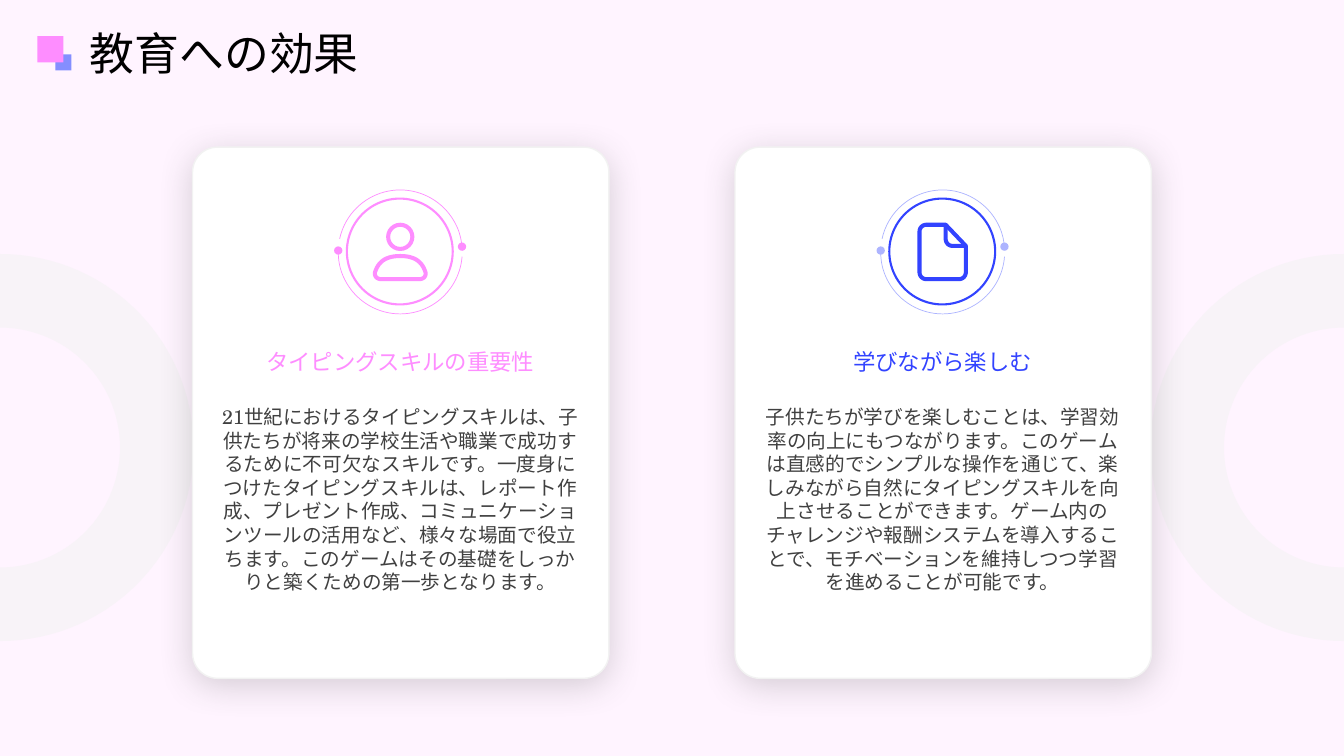
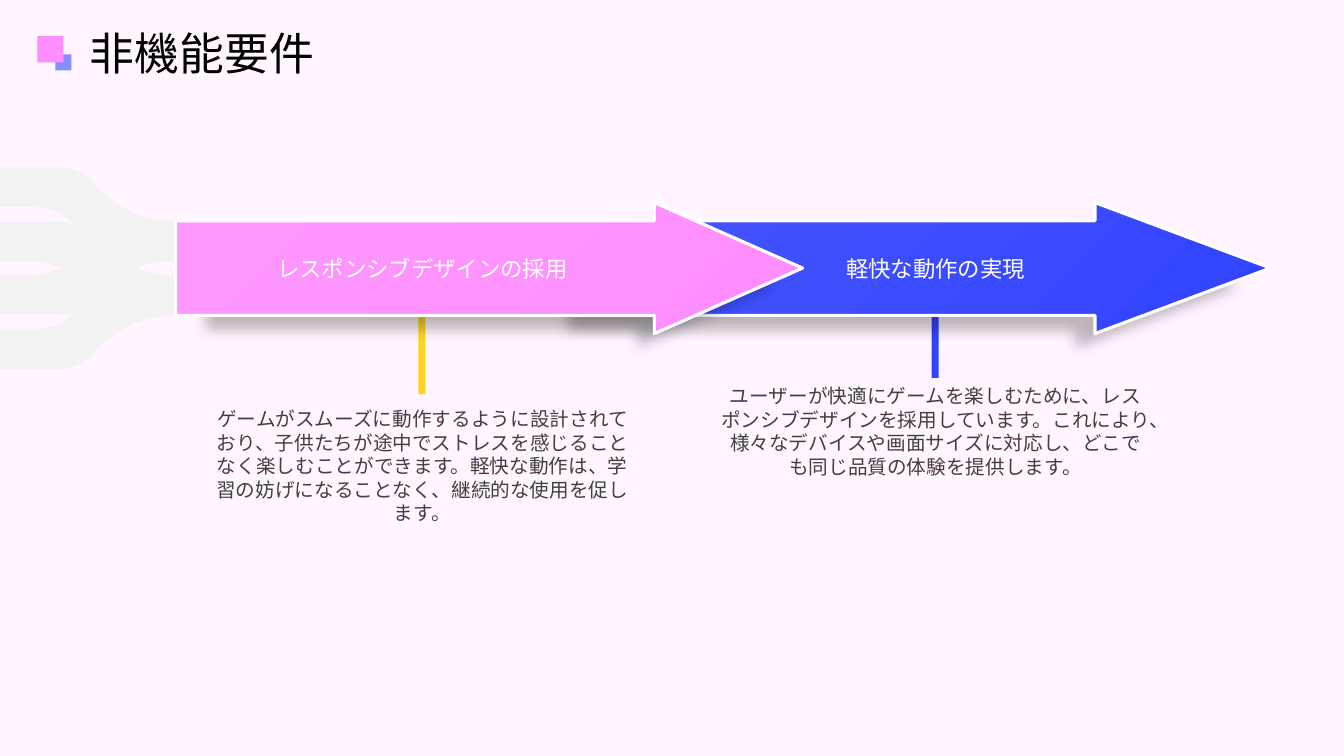
import math
from dataclasses import dataclass

import pptx
import pptx.dml.color
import pptx.enum.shapes
import pptx.enum.text
import pptx.oxml
import pptx.oxml.ns
import pptx.util

Inches = pptx.util.Inches
Preset = pptx.enum.shapes.MSO_SHAPE
Align = pptx.enum.text.PP_ALIGN
Anchor = pptx.enum.text.MSO_ANCHOR


@dataclass(frozen=True)
class Theme:
    font: str = "TeX Gyre Schola"
    title_size: int = 32
    heading_size: int = 16
    body_size: int = 14
    background: str = "FFF4FF"
    ring: str = "F8F3F8"
    gray: str = "F2F2F2"
    white: str = "FFFFFF"
    black: str = "000000"
    text: str = "404040"
    pink: str = "FE8DFF"
    pink_light: str = "FE98FF"
    blue: str = "3243FF"
    blue_light: str = "4656FF"
    blue_pale: str = "ADB4FF"
    periwinkle: str = "848EFF"
    yellow: str = "FED421"


THEME = Theme()
WIDTH, HEIGHT = 13.33, 7.5
TITLE_ONLY = 5

# Outlines: a pair is a corner, six numbers are a curve (two handles, end)
PERSON_BODY = [(0, .04), (.16, .04, .22, .11, .25, .2),
               (.26, .24, .23, .27, .19, .27), (-.19, .27),
               (-.23, .27, -.26, .24, -.25, .2),
               (-.22, .11, -.16, .04, 0, .04)]
SHEET = [(.03, -.27), (.23, -.06), (.23, .2), (.23, .24, .2, .27, .16, .27),
         (-.16, .27), (-.2, .27, -.23, .24, -.23, .2), (-.23, -.2),
         (-.23, -.24, -.2, -.27, -.16, -.27)]
SHEET_FOLD = [(.03, -.27), (.03, -.13), (.03, -.09, .06, -.06, .1, -.06),
              (.23, -.06)]
STRAND = [(0, 0), (.61, 0), (.66, .01), (.75, .02, .83, .06, .9, .12),
          (.94, .17), (1.08, .33, 1.28, .46, 1.51, .51), (1.62, .53),
          (1.74, .53), (1.74, .92), (1.6, .92), (1.39, .89), (1.2, .83),
          (1.03, .77, .88, .68, .75, .57), (.69, .52),
          (.62, .46, .52, .41, .41, .4), (.35, .39), (0, .39)]


# Basic formatting
def rgb(color):
    return pptx.dml.color.RGBColor.from_string(color)


def paint(shape, fill=None, line=None, weight=1):
    shape.shadow.inherit = False
    if fill:
        shape.fill.solid()
        shape.fill.fore_color.rgb = rgb(fill)
    else:
        shape.fill.background()
    if line:
        shape.line.color.rgb = rgb(line)
        shape.line.width = pptx.util.Pt(weight)
    else:
        shape.line.fill.background()
    return shape


def add_shadow(shape, color, alpha, blur, distance, scale=100):
    """Drop a shadow straight down; alpha and scale are percentages."""
    shadow = pptx.oxml.parse_xml(
        f'<a:outerShdw {pptx.oxml.ns.nsdecls("a")} '
        f'blurRad="{pptx.util.Pt(blur)}" dist="{pptx.util.Pt(distance)}" '
        f'dir="5400000" sx="{scale * 1000}" sy="{scale * 1000}" algn="ctr" '
        f'rotWithShape="0"><a:srgbClr val="{color}">'
        f'<a:alpha val="{alpha * 1000}"/></a:srgbClr></a:outerShdw>')
    effects = shape._element.spPr.find(pptx.oxml.ns.qn("a:effectLst"))
    effects.append(shadow)


def add_preset(page, kind, left, top, width, height, **look):
    shape = page.shapes.add_shape(
        kind, *map(Inches, (left, top, width, height)))
    return paint(shape, **look)


# Freeform outlines
def flatten(outline, steps=12):
    points = []
    for part in outline:
        if len(part) == 2:
            points.append(part)
            continue
        knots = [points[-1], part[:2], part[2:4], part[4:]]
        for step in range(1, steps + 1):
            t = step / steps
            weights = ((1 - t) ** 3, 3 * t * (1 - t) ** 2,
                       3 * t * t * (1 - t), t ** 3)
            points.append(tuple(
                sum(w * knot[axis] for w, knot in zip(weights, knots))
                for axis in (0, 1)))
    return points


def add_outline(page, outline, x=0, y=0, flip=1, close=True, **look):
    points = [(Inches(x + dx), Inches(y + flip * dy))
              for dx, dy in flatten(outline)]
    builder = page.shapes.build_freeform(*points[0], scale=1.0)
    builder.add_line_segments(points[1:], close=close)
    return paint(builder.convert_to_shape(), **look)


# Text
def write(box, text, size, color, align=Align.CENTER, anchor=Anchor.TOP):
    frame = box.text_frame
    frame_format = {"word_wrap": True, "vertical_anchor": anchor,
                    "auto_size": pptx.enum.text.MSO_AUTO_SIZE.NONE,
                    "margin_left": 0, "margin_right": 0,
                    "margin_top": 0, "margin_bottom": 0}
    for name, value in frame_format.items():
        setattr(frame, name, value)
    para = frame.paragraphs[0]
    para.alignment = align
    span = para.add_run()
    span.text = text
    span_format = {"name": THEME.font, "size": pptx.util.Pt(size)}
    for name, value in span_format.items():
        setattr(span.font, name, value)
    span.font.color.rgb = rgb(color)


def add_text(page, text, left, top, width, height, size, color, **layout):
    box = page.shapes.add_textbox(*map(Inches, (left, top, width, height)))
    write(box, text, size, color, **layout)


def add_page(deck, title):
    """Add a slide with the shared background, title and marker squares."""
    page = deck.slides.add_slide(deck.slide_layouts[TITLE_ONLY])
    page.background.fill.solid()
    page.background.fill.fore_color.rgb = rgb(THEME.background)
    box = page.shapes.title
    place = {"left": .89, "top": .29, "width": 11.84, "height": .47}
    for name, value in place.items():
        setattr(box, name, Inches(value))
    write(box, title, THEME.title_size, THEME.black,
          align=Align.LEFT, anchor=Anchor.MIDDLE)
    add_preset(page, Preset.RECTANGLE, .55, .54, .16, .16,
               fill=THEME.periwinkle)
    add_preset(page, Preset.RECTANGLE, .37, .36, .26, .26, fill=THEME.pink)
    return page


# Cards
def add_half_ring(page, x, direction):
    angles = [math.radians(degree) for degree in range(-90, 91, 3)]
    outer, inner = (
        [(direction * radius * math.cos(a), radius * math.sin(a))
         for a in angles] for radius in (1.92, 1.19))
    add_outline(page, outer + inner[::-1], x, 4.44, fill=THEME.ring)


def add_orbit(page, x, y, start, end, color):
    """Draw a thin arc between two angles in degrees, with a dot at its end."""
    radius = .615
    arc = add_preset(page, Preset.ARC, x - radius, y - radius,
                     2 * radius, 2 * radius, line=color, weight=.5)
    for index, degrees in enumerate((start, end)):
        arc.adjustments[index] = degrees * .6
    arc.line._get_or_add_ln().append(pptx.oxml.parse_xml(
        f'<a:tailEnd {pptx.oxml.ns.nsdecls("a")} type="oval"/>'))


def add_person(page, x, y, color):
    look = {"line": color, "weight": 2.9}
    add_preset(page, Preset.OVAL, x - .12, y - .27, .24, .24, **look)
    add_outline(page, PERSON_BODY, x, y, **look)


def add_document(page, x, y, color):
    look = {"line": color, "weight": 2.9}
    add_outline(page, SHEET, x, y, **look)
    add_outline(page, SHEET_FOLD, x, y, close=False, **look)


def add_card(page, x, heading, body, color, orbit_color, add_icon):
    card = add_preset(page, Preset.ROUNDED_RECTANGLE, x - 2.06, 1.46,
                      4.13, 5.27, fill=THEME.white, line=THEME.gray)
    card.adjustments[0] = .06
    add_shadow(card, THEME.text, alpha=21, blur=25, distance=5)
    icon_y = 2.5
    for start, end in ((192.25, 355.08), (4.43, 181.29)):
        add_orbit(page, x, icon_y, start, end, orbit_color)
    add_preset(page, Preset.OVAL, x - .53, icon_y - .53, 1.05, 1.05,
               fill=THEME.white, line=color, weight=1.5)
    add_icon(page, x, icon_y, color)
    add_text(page, heading, x - 1.85, 3.32, 3.7, .54,
             THEME.heading_size, color, anchor=Anchor.MIDDLE)
    add_text(page, body, x - 1.82, 4.02, 3.64, 2.59,
             THEME.body_size, THEME.text)


# Arrows
def add_fork(page):
    for reach in (1, .46):
        for side in (1, -1):
            add_outline(page, STRAND, 0, 2.66 - side * reach, flip=side,
                        fill=THEME.gray)


def add_arrow(page, left, neck, tip, colors):
    shaft, head = .47, .65
    outline = [(neck, -head), (tip, 0), (neck, head), (neck, shaft),
               (left, shaft), (left, -shaft), (neck, -shaft)]
    arrow = add_outline(page, outline, 0, 2.66, line=THEME.white, weight=2.25)
    arrow.fill.gradient()
    arrow.fill.gradient_angle = 135
    for stop, color in zip(arrow.fill.gradient_stops, colors):
        stop.color.rgb = rgb(color)
    add_shadow(arrow, THEME.black, alpha=25, blur=10, distance=12, scale=90)


def add_step(page, x, label, body, body_top, span, colors):
    add_arrow(page, *span, colors)
    add_text(page, label, x - 2, 2.44, 4, .44,
             THEME.heading_size, THEME.white, anchor=Anchor.MIDDLE)
    add_text(page, body, x - 2.13, body_top, 4.26, 2.49,
             THEME.body_size, THEME.text)


# Slides
def build_effects(deck):
    page = add_page(deck, "教育への効果")
    add_half_ring(page, 0, 1)
    add_half_ring(page, WIDTH, -1)
    add_card(page, 3.97, "タイピングスキルの重要性",
             "21世紀におけるタイピングスキルは、子供たちが将来の学校生活や職業で成功するために"
             "不可欠なスキルです。一度身につけたタイピングスキルは、レポート作成、プレゼント作成、"
             "コミュニケーションツールの活用など、様々な場面で役立ちます。このゲームはその基礎を"
             "しっかりと築くための第一歩となります。",
             THEME.pink, THEME.pink, add_person)
    add_card(page, 9.35, "学びながら楽しむ",
             "子供たちが学びを楽しむことは、学習効率の向上にもつながります。このゲームは直感的で"
             "シンプルな操作を通じて、楽しみながら自然にタイピングスキルを向上させることができます。"
             "ゲーム内のチャレンジや報酬システムを導入することで、モチベーションを維持しつつ学習を"
             "進めることが可能です。",
             THEME.blue, THEME.blue_pale, add_document)


def build_requirements(deck):
    page = add_page(deck, "非機能要件")
    for left, top, color in ((4.15, 2.97, THEME.yellow),
                             (9.24, 2.81, THEME.blue)):
        add_preset(page, Preset.RECTANGLE, left, top, .07, .94, fill=color)
    add_fork(page)
    add_step(page, 9.28, "軽快な動作の実現",
             "ユーザーが快適にゲームを楽しむために、レスポンシブデザインを採用しています。"
             "これにより、様々なデバイスや画面サイズに対応し、どこでも同じ品質の体験を提供します。",
             3.81, (5.28, 10.86, 12.6), (THEME.blue, THEME.blue_light))
    add_step(page, 4.19, "レスポンシブデザインの採用",
             "ゲームがスムーズに動作するように設計されており、子供たちが途中でストレスを感じること"
             "なく楽しむことができます。軽快な動作は、学習の妨げになることなく、継続的な使用を"
             "促します。",
             4.04, (1.74, 6.49, 7.96), (THEME.pink, THEME.pink_light))


def main():
    deck = pptx.Presentation()
    deck.slide_width, deck.slide_height = Inches(WIDTH), Inches(HEIGHT)
    build_effects(deck)
    build_requirements(deck)
    deck.save("out.pptx")


if __name__ == "__main__":
    main()
